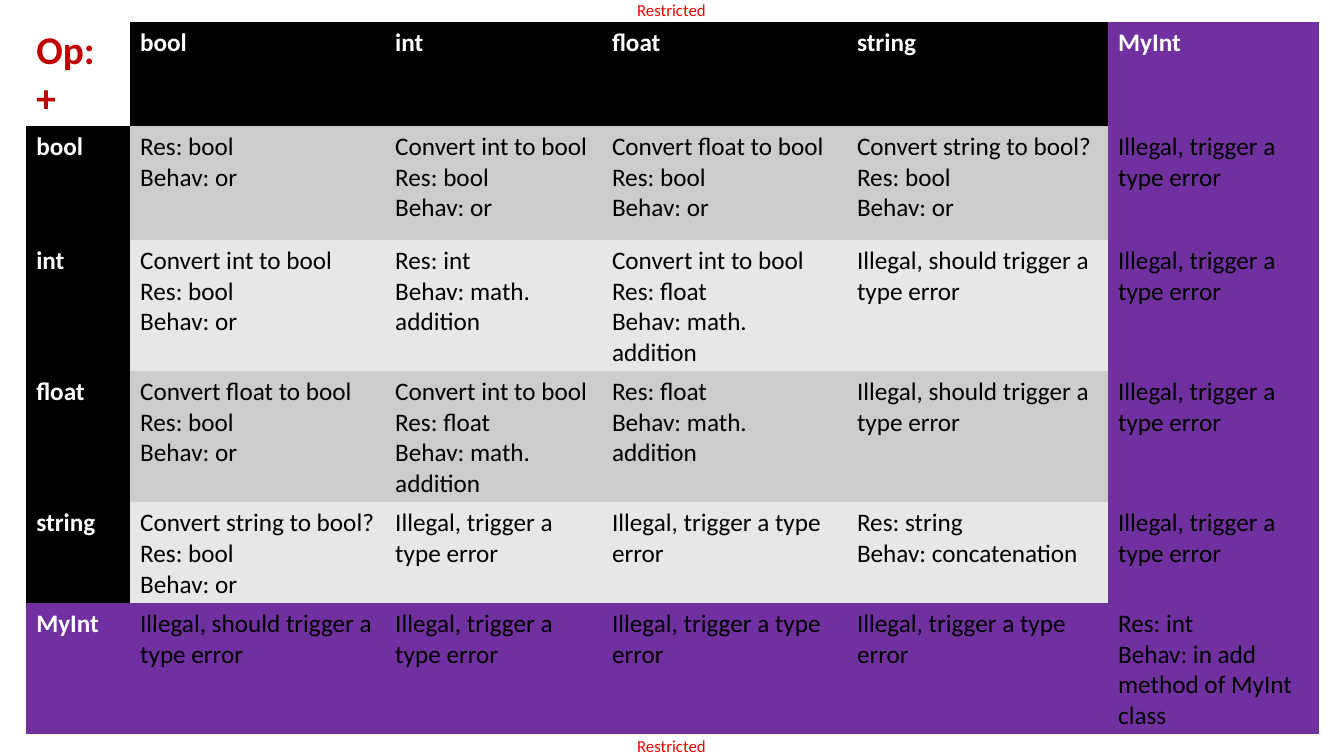
"""Build a slide that tabulates the result of + for each pair of types."""
from dataclasses import dataclass

from pptx import Presentation
from pptx import util as u
from pptx.dml import color

WIDE, HIGH = u.Inches(13.33), u.Inches(7.5)
FONT = "Calibri"
BLACK, WHITE, PURPLE = "000000", "FFFFFF", "7030A0"
BANDS = ("E7E7E7", "CCCCCC")
PLAIN = "{2D5ABB26-0587-4C30-8999-92F81FD0307C}"

COLS = (7.73, 18.98, 16.13, 18.23, 19.43, 15.68)
ROWS = (13.73, 15.07, 17.33, 17.33, 13.33, 17.33)
TYPES = ("bool", "int", "float", "string", "MyInt")

ERROR = "Illegal, trigger a type error"
SHOULD = "Illegal, should trigger a type error"
OR = "Res: bool\nBehav: or"
INT_OR = f"Convert int to bool\n{OR}"
FLOAT_OR = f"Convert float to bool\n{OR}"
STR_OR = f"Convert string to bool?\n{OR}"
ADD = "Res: float\nBehav: math. addition"
MIXED = f"Convert int to bool\n{ADD}"
RULES = (
    (OR, INT_OR, FLOAT_OR, STR_OR, ERROR),
    (INT_OR, "Res: int\nBehav: math. addition", MIXED, SHOULD, ERROR),
    (FLOAT_OR, MIXED, ADD, SHOULD, ERROR),
    (STR_OR, ERROR, ERROR, "Res: string\nBehav: concatenation", ERROR),
    (SHOULD, ERROR, ERROR, ERROR,
     "Res: int\nBehav: in add method of MyInt class"),
)


@dataclass
class Style:
    """Size, colour and weight of a text."""
    size: int
    tint: str
    bold: bool = False


@dataclass
class Mark:
    """A marking at the top or foot, placed in percent of the slide."""
    words: str
    top: float


CORNER = Style(28, "C00000", True)
HEAD = Style(18, WHITE, True)
BODY = Style(18, BLACK)
NOTE = Style(12, "FF0000")
MARKS = (Mark("Restricted", 0), Mark("Restricted", 97.33))


def across(share: float) -> int:
    """Turn a percentage of the slide's width into a length."""
    return round(WIDE * share / 100)


def down(share: float) -> int:
    """Turn a percentage of the slide's height into a length."""
    return round(HIGH * share / 100)


def paint(target, tint: str) -> None:
    """Give a fill or a font a colour from a hex string."""
    if hasattr(target, "solid"):
        target.solid()
        target.fore_color.rgb = color.RGBColor.from_string(tint)
    else:
        target.color.rgb = color.RGBColor.from_string(tint)


def write(frame, words: str, style: Style) -> None:
    """Put the words in a frame, one paragraph a line."""
    frame.text = words
    for para in frame.paragraphs:
        font = para.font
        font.name, font.size, font.bold = FONT, u.Pt(style.size), style.bold
        paint(font, style.tint)


def shade(row: int, col: int) -> str:
    """Choose the fill of a cell from its place in the grid."""
    if row == col == 0:
        return WHITE
    if len(TYPES) in (row, col):
        return PURPLE
    return BANDS[row % 2] if row and col else BLACK


def draw_mark(slide, mark: Mark) -> None:
    """Draw a marking in the middle of the slide."""
    box = slide.shapes.add_textbox(
        across(47.41), down(mark.top), across(5.48), down(2.67))
    frame = box.text_frame
    frame.margin_left = frame.margin_right = 0
    frame.margin_top = frame.margin_bottom = 0
    frame.word_wrap = False
    write(frame, mark.words, NOTE)


def draw_grid(slide) -> None:
    """Draw the table of operand types."""
    grid = slide.shapes.add_table(
        len(ROWS), len(COLS), across(1.95), down(2.93),
        across(sum(COLS)), down(sum(ROWS))).table
    grid._tbl.tblPr[0].text = PLAIN
    for col, share in zip(grid.columns, COLS):
        col.width = across(share)
    for row, share in zip(grid.rows, ROWS):
        row.height = down(share)
    lines = [("Op: +", *TYPES)]
    lines += [(kind, *rule) for kind, rule in zip(TYPES, RULES)]
    for i, line in enumerate(lines):
        for j, words in enumerate(line):
            cell = grid.cell(i, j)
            paint(cell.fill, shade(i, j))
            style = BODY if i and j else HEAD if i or j else CORNER
            write(cell.text_frame, words, style)


def main() -> None:
    """Build and save the slide."""
    deck = Presentation()
    deck.slide_width, deck.slide_height = WIDE, HIGH
    slide = deck.slides.add_slide(deck.slide_layouts[6])
    for mark in MARKS:
        draw_mark(slide, mark)
    draw_grid(slide)
    deck.save("out.pptx")


if __name__ == "__main__":
    main()
